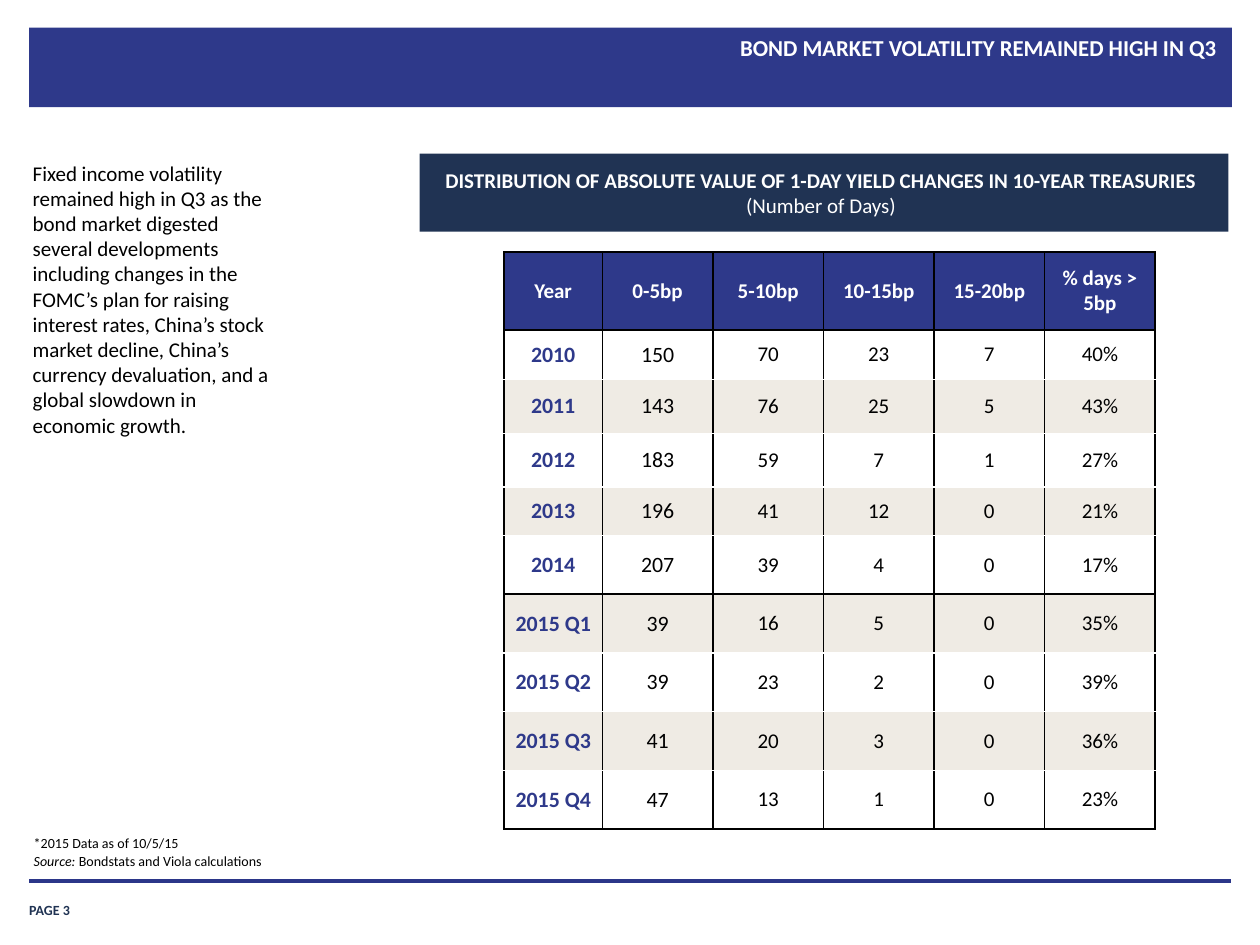
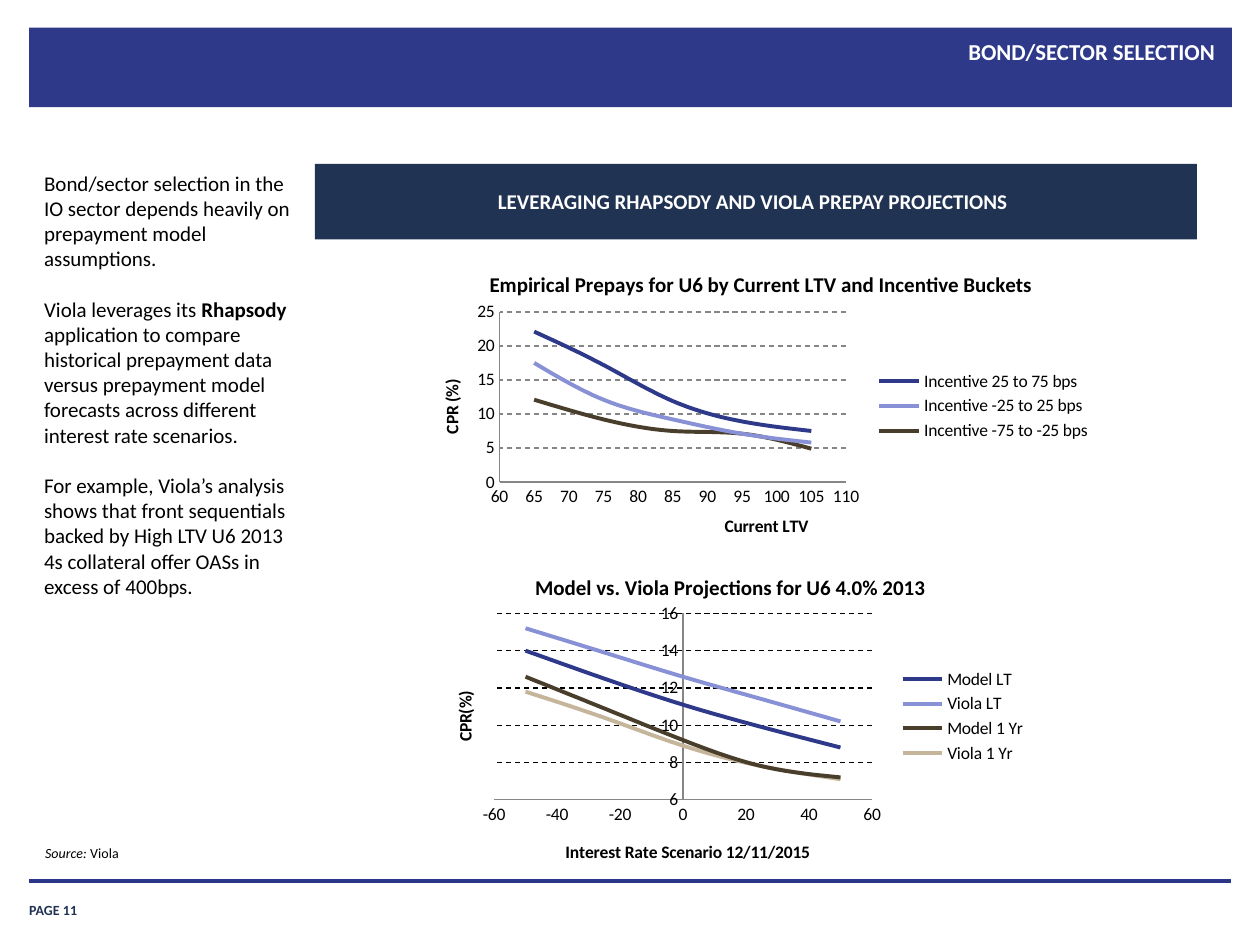
from dataclasses import dataclass
from typing import NamedTuple, Optional

from lxml.etree import SubElement
from pptx import Presentation
from pptx.chart.data import XyChartData
from pptx.dml.color import RGBColor
from pptx.enum.chart import XL_CHART_TYPE, XL_LEGEND_POSITION, XL_TICK_MARK
from pptx.enum.dml import MSO_LINE
from pptx.enum.shapes import MSO_CONNECTOR, MSO_SHAPE
from pptx.enum.text import MSO_ANCHOR, MSO_AUTO_SIZE, PP_ALIGN
from pptx.oxml.ns import qn
from pptx.util import Pt

FONT = "Calibri"
COLORS = {
    "band": "2E398A", "rule": "2B3689", "navy": "203353", "stripe": "EFEBE4",
    "white": "FFFFFF", "black": "000000", "axis": "868686",
    "periwinkle": "8891D5", "brown": "493E2B", "tan": "C4B59B",
}


class Box(NamedTuple):
    left: float
    top: float
    width: float
    height: float

    def emu(self) -> tuple:
        return tuple(Pt(v) for v in self)


class Run(NamedTuple):
    text: str
    bold: bool = False
    italic: bool = False


class Margins(NamedTuple):
    left: float = 7.2
    top: float = 3.6
    right: float = 7.2
    bottom: float = 3.6


@dataclass
class TextStyle:
    size: float = 12
    color: str = "black"
    align: PP_ALIGN = PP_ALIGN.LEFT
    anchor: MSO_ANCHOR = MSO_ANCHOR.TOP
    margins: Margins = Margins()
    gap: float = 0
    spacing: Optional[float] = None


class Axis(NamedTuple):
    title: str
    low: float
    high: float
    step: float
    title_at: tuple


class Series(NamedTuple):
    name: str
    color: str
    values: tuple


@dataclass
class ScatterChart:
    """Positions ending in _at, and plot, are fractions of the chart's size."""
    box: Box
    title: str
    title_at: tuple
    plot: tuple
    legend_at: tuple
    x_axis: Axis
    y_axis: Axis
    grid: str
    x_values: tuple
    series: list


TITLE = TextStyle(13, "white", PP_ALIGN.RIGHT)
HEADING = TextStyle(12, "white", PP_ALIGN.CENTER, MSO_ANCHOR.MIDDLE,
                    Margins(left=3.6))
BODY = TextStyle(margins=Margins(6.5, 2.9, 6.5, 2.9), gap=14.4)
SOURCE = TextStyle(8, anchor=MSO_ANCHOR.BOTTOM, gap=1.6, spacing=0.9)
PAGE = TextStyle(8, "navy", anchor=MSO_ANCHOR.BOTTOM, margins=Margins(0, 0, 0, 0))

HEADER = ["Year", "0-5bp", "5-10bp", "10-15bp", "15-20bp", "% days > 5bp"]
YIELD_CHANGES = [
    ["2010", "150", "70", "23", "7", "40%"],
    ["2011", "143", "76", "25", "5", "43%"],
    ["2012", "183", "59", "7", "1", "27%"],
    ["2013", "196", "41", "12", "0", "21%"],
    ["2014", "207", "39", "4", "0", "17%"],
    ["2015 Q1", "39", "16", "5", "0", "35%"],
    ["2015 Q2", "39", "23", "2", "0", "39%"],
    ["2015 Q3", "41", "20", "3", "0", "36%"],
    ["2015 Q4", "47", "13", "1", "0", "23%"],
]
COLUMN_WIDTHS = [56.2] + [63.2] * 5
ROW_HEIGHTS = [44.6, 28.2, 30.9, 30.6, 27.8] + [33.55] * 5
BLACK_EDGES = {0, 1, 6, 10}  # horizontal edges counted from the table's top

EMPIRICAL_PREPAYS = ScatterChart(
    Box(234, 139.7, 396, 183.6),
    "Empirical Prepays for U6 by Current LTV and Incentive Buckets", (0.11, 0.07),
    (0.13, 0.21, 0.5, 0.53), (0.67, 0.38),
    Axis("Current LTV", 60, 110, 5, (0.45, 0.83)),
    Axis("CPR (%)", 0, 25, 5, (0.04, 0.41)),
    "axis", (65, 75, 85, 95, 105),
    [Series("Incentive 25 to 75 bps", "band", (22.1, 17.2, 11.9, 8.9, 7.5)),
     Series("Incentive -25 to 25 bps", "periwinkle", (17.5, 12.1, 9.2, 7.1, 5.8)),
     Series("Incentive -75 to -25 bps", "brown", (12.1, 9.2, 7.5, 7.1, 4.9))],
)
PROJECTIONS = ScatterChart(
    Box(239.8, 311.8, 354.2, 193.7),
    "Model vs. Viola Projections for U6 4.0% 2013", (0.18, 0.07),
    (0.12, 0.2, 0.61, 0.55), (0.77, 0.35),
    Axis("Interest Rate Scenario 12/11/2015", -60, 60, 20, (0.23, 0.86)),
    Axis("CPR(%)", 6, 16, 2, (0.05, 0.42)),
    "black", (-50, -25, 0, 25, 50),
    [Series("Model LT", "band", (14, 12.5, 11.1, 9.9, 8.8)),
     Series("Viola LT", "periwinkle", (15.2, 13.9, 12.6, 11.4, 10.2)),
     Series("Model 1 Yr", "brown", (12.6, 10.9, 9.2, 7.8, 7.2)),
     Series("Viola 1 Yr", "tan", (11.8, 10.4, 8.9, 7.8, 7.1))],
)


def rgb(name: str) -> RGBColor:
    return RGBColor.from_string(COLORS[name])


def style_font(font, size: float, color: str, bold: bool = False,
               italic: bool = False) -> None:
    font.name, font.size, font.bold, font.italic = FONT, Pt(size), bold, italic
    font.color.rgb = rgb(color)


def write(tf, paragraphs: list, style: TextStyle) -> None:
    tf.word_wrap = True
    tf.auto_size = MSO_AUTO_SIZE.NONE
    tf.vertical_anchor = style.anchor
    tf.margin_left, tf.margin_top, tf.margin_right, tf.margin_bottom = (
        Pt(m) for m in style.margins)
    for i, runs in enumerate(paragraphs):
        p = tf.add_paragraph() if i else tf.paragraphs[0]
        p.alignment = style.align
        p.line_spacing = style.spacing
        p.space_before = Pt(style.gap if i else 0)
        for run in runs:
            r = p.add_run()
            r.text = run.text
            style_font(r.font, style.size, style.color, run.bold, run.italic)


def add_text(slide, box: Box, paragraphs: list, style: TextStyle) -> None:
    write(slide.shapes.add_textbox(*box.emu()).text_frame, paragraphs, style)


def add_bar(slide, box: Box, color: str):
    sp = slide.shapes.add_shape(MSO_SHAPE.RECTANGLE, *box.emu())
    sp.shadow.inherit = False
    sp.fill.solid()
    sp.fill.fore_color.rgb = rgb(color)
    sp.line.fill.background()
    return sp


def add_heading(slide, box: Box, paragraphs: list) -> None:
    write(add_bar(slide, box, "navy").text_frame, paragraphs, HEADING)


def add_page(prs, title: str, title_box: Box, number: int):
    """Add a slide with the title band, footer rule and page number."""
    slide = prs.slides.add_slide(prs.slide_layouts[5])
    sp = slide.shapes.title
    sp.left, sp.top, sp.width, sp.height = title_box.emu()
    write(sp.text_frame, [[Run(title, bold=True)]], TITLE)
    band = add_bar(slide, Box(16.6, 15.8, 687.4, 45.4), "band")
    sp.element.addprevious(band.element)
    rule = slide.shapes.add_connector(
        MSO_CONNECTOR.STRAIGHT, Pt(16.6), Pt(503.3), Pt(703.4), Pt(503.3))
    rule.line.color.rgb = rgb("rule")
    rule.line.width = Pt(2)
    SubElement(rule.element.spPr, qn("a:effectLst"))
    add_text(slide, Box(16.6, 509.8, 59, 15.1), [[Run(f"PAGE {number}", bold=True)]], PAGE)
    return slide


def set_borders(cell, top: str, bottom: str) -> None:
    tc_pr = cell._tc.get_or_add_tcPr()
    edges = {"lnL": "black", "lnR": "black", "lnT": top, "lnB": bottom}
    for i, (tag, color) in enumerate(edges.items()):
        ln = SubElement(tc_pr, qn(f"a:{tag}"), w=str(Pt(1)))
        fill = SubElement(ln, qn("a:solidFill"))
        SubElement(fill, qn("a:srgbClr"), val=COLORS[color])
        tc_pr.insert(i, ln)


def add_yield_table(slide, left: float, top: float) -> None:
    box = Box(left, top, sum(COLUMN_WIDTHS), sum(ROW_HEIGHTS))
    rows = [HEADER] + YIELD_CHANGES
    table = slide.shapes.add_table(len(rows), len(HEADER), *box.emu()).table
    table.first_row = table.horz_banding = False
    for column, width in zip(table.columns, COLUMN_WIDTHS):
        column.width = Pt(width)
    for i, values in enumerate(rows):
        table.rows[i].height = Pt(ROW_HEIGHTS[i])
        top_edge, bottom_edge = (
            "black" if edge in BLACK_EDGES else "white" for edge in (i, i + 1))
        fill = "band" if i == 0 else "white" if i % 2 else "stripe"
        for j, value in enumerate(values):
            is_year = i > 0 and j == 0
            cell = table.cell(i, j)
            cell.fill.solid()
            cell.fill.fore_color.rgb = rgb(fill)
            set_borders(cell, top_edge, bottom_edge)
            cell.vertical_anchor = MSO_ANCHOR.MIDDLE
            cell.margin_left = cell.margin_right = Pt(0.7 if is_year else 6.5)
            cell.margin_top = cell.margin_bottom = Pt(0.7 if is_year else 2.9)
            p = cell.text_frame.paragraphs[0]
            p.alignment = PP_ALIGN.CENTER
            r = p.add_run()
            r.text = value
            style_font(r.font, 12.5 if i and j < 2 else 12,
                       "white" if i == 0 else "band" if is_year else "black",
                       bold=i == 0 or is_year)


def place(part, position: tuple) -> None:
    """Fix a chart part at x, y and, if given, width and height."""
    for old in part.findall(qn("c:layout")):
        part.remove(old)
    layout = SubElement(part, qn("c:layout"))
    manual = SubElement(layout, qn("c:manualLayout"))
    if len(position) == 4:
        SubElement(manual, qn("c:layoutTarget"), val="inner")
    for tag in ("xMode", "yMode"):
        SubElement(manual, qn(f"c:{tag}"), val="edge")
    for tag, value in zip("xywh", position):
        SubElement(manual, qn(f"c:{tag}"), val=str(value))
    leading = part.xpath("c:tx | c:legendPos")
    part.insert(len(leading), layout)


def write_chart_title(owner, text: str, size: float) -> None:
    r = owner.text_frame.paragraphs[0].add_run()
    r.text = text
    style_font(r.font, size, "black", bold=True)


def format_axis(axis, spec: Axis) -> None:
    axis.minimum_scale, axis.maximum_scale = spec.low, spec.high
    axis.major_unit = spec.step
    axis.major_tick_mark = axis.minor_tick_mark = XL_TICK_MARK.NONE
    axis.tick_labels.number_format = "General"
    axis.tick_labels.number_format_is_linked = False
    axis.format.line.color.rgb = rgb("axis")
    axis.format.line.width = Pt(0.75)
    axis.has_major_gridlines = False
    write_chart_title(axis.axis_title, spec.title, 10)


def add_scatter(slide, spec: ScatterChart) -> None:
    data = XyChartData()
    for series in spec.series:
        points = data.add_series(series.name)
        for x, y in zip(spec.x_values, series.values):
            points.add_data_point(x, y)
    chart = slide.shapes.add_chart(
        XL_CHART_TYPE.XY_SCATTER_SMOOTH_NO_MARKERS, *spec.box.emu(), data).chart
    style_font(chart.font, 10, "black")
    write_chart_title(chart.chart_title, spec.title, 12)
    format_axis(chart.category_axis, spec.x_axis)
    format_axis(chart.value_axis, spec.y_axis)
    chart.value_axis.has_major_gridlines = True
    grid = chart.value_axis.major_gridlines.format.line
    grid.color.rgb = rgb(spec.grid)
    grid.width = Pt(0.75)
    grid.dash_style = MSO_LINE.DASH
    chart.has_legend = True
    chart.legend.position = XL_LEGEND_POSITION.RIGHT
    chart.legend.include_in_layout = False
    plot = chart.plots[0]
    plot.vary_by_categories = False
    for drawn, series in zip(plot.series, spec.series):
        drawn.format.line.color.rgb = rgb(series.color)
        drawn.format.line.width = Pt(2.25)
    for smooth in chart.element.xpath(".//c:smooth"):
        smooth.set("val", "1")
    parts = chart.element.xpath(".//c:title | .//c:plotArea | .//c:legend")
    positions = (spec.title_at, spec.plot, spec.x_axis.title_at,
                 spec.y_axis.title_at, spec.legend_at)
    for part, position in zip(parts, positions):
        place(part, position)


def build_volatility(prs) -> None:
    slide = add_page(prs, "BOND MARKET VOLATILITY REMAINED HIGH IN Q3",
                     Box(88.6, 15.8, 613.4, 42.5), 3)
    add_text(slide, Box(12.2, 473.8, 174.2, 26.6), [
        [Run("*2015 Data as of 10/5/15")],
        [Run("Source: ", italic=True), Run("Bondstats and Viola calculations")],
    ], SOURCE)
    add_yield_table(slide, 288, 144)
    add_heading(slide, Box(239.8, 87.8, 462.2, 44.6), [
        [Run("DISTRIBUTION OF ABSOLUTE VALUE OF 1-DAY YIELD CHANGES IN 10-YEAR TREASURIES", bold=True)],
        [Run("(Number of Days)")],
    ])
    add_text(slide, Box(12.2, 88.6, 156.2, 166.3), [[Run(
        "Fixed income volatility remained high in Q3 as the bond market digested several "
        "developments including changes in the FOMC’s plan for raising interest rates, China’s "
        "stock market decline, China’s currency devaluation, and a global slowdown in "
        "economic growth.")]], BODY)


def build_selection(prs) -> None:
    slide = add_page(prs, "BOND/SECTOR SELECTION", Box(180, 18, 521.3, 44.6), 11)
    add_heading(slide, Box(180, 93.6, 504, 43.2), [
        [Run("LEVERAGING RHAPSODY AND VIOLA PREPAY PROJECTIONS", bold=True)]])
    add_text(slide, Box(18.7, 94.3, 156.2, 297.4), [
        [Run("Bond/sector selection in the IO sector depends heavily on prepayment model "
             "assumptions.")],
        [Run("Viola leverages its "), Run("Rhapsody ", bold=True),
         Run("application to compare historical prepayment data versus prepayment model "
             "forecasts across different interest rate scenarios.")],
        [Run("For example, Viola’s analysis shows that front sequentials backed by High LTV "
             "U6 2013 4s collateral offer OASs in excess of 400bps.")],
    ], BODY)
    add_text(slide, Box(18.7, 480.2, 419, 15.8),
             [[Run("Source: ", italic=True), Run("Viola")]], SOURCE)
    for chart in (EMPIRICAL_PREPAYS, PROJECTIONS):
        add_scatter(slide, chart)


def main() -> None:
    prs = Presentation()
    prs.slide_width, prs.slide_height = Pt(720), Pt(540)
    build_volatility(prs)
    build_selection(prs)
    prs.save("out.pptx")


if __name__ == "__main__":
    main()
